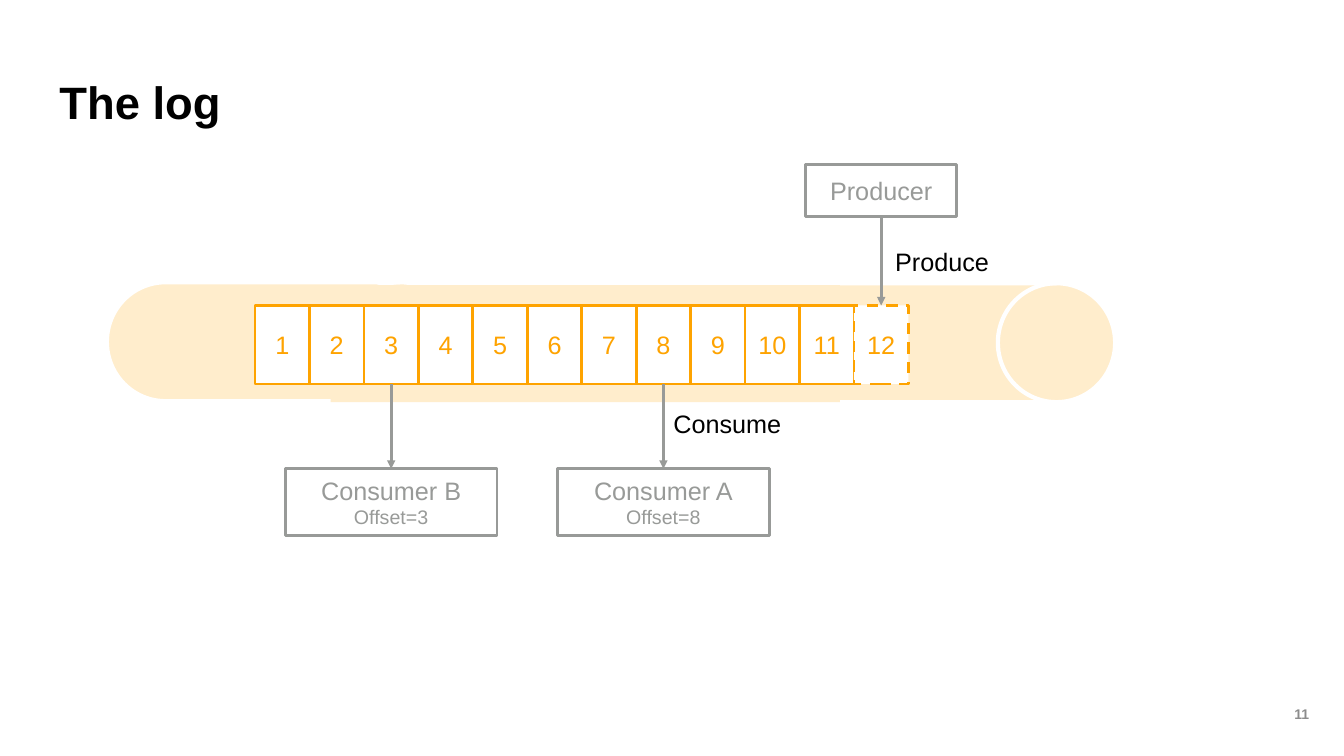
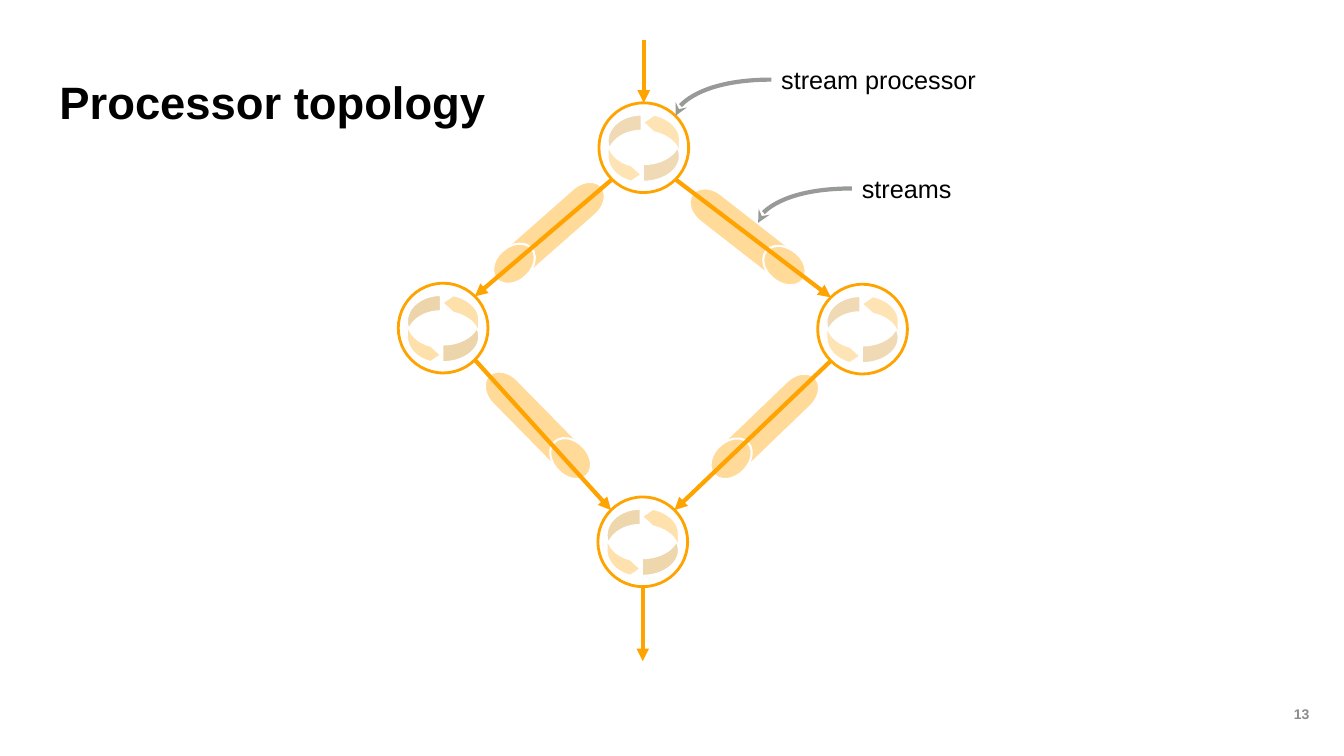
import math
from dataclasses import dataclass

import pptx
import pptx.dml.color
import pptx.enum.dml
import pptx.enum.shapes
import pptx.enum.text
import pptx.oxml.ns
import pptx.util
from lxml import etree

Inches, Pt = pptx.util.Inches, pptx.util.Pt
SHAPE = pptx.enum.shapes.MSO_SHAPE
CONNECTOR = pptx.enum.shapes.MSO_CONNECTOR
ALIGN = pptx.enum.text.PP_ALIGN
ANCHOR = pptx.enum.text.MSO_ANCHOR
qn = pptx.oxml.ns.qn


@dataclass(frozen=True)
class Theme:
    font: str = "Arial"
    black: str = "000000"
    white: str = "FFFFFF"
    orange: str = "FEA300"
    pale: str = "FFEDCC"
    peach: str = "FFDA99"
    gray: str = "989A98"
    number_gray: str = "8C8C8C"
    title: float = 32.4
    body: float = 18
    small: float = 14
    number: float = 10


T = Theme()

# Content of the log slide
LOG_TITLE, LOG_NUMBER = "The log", "11"
ENTRIES = [str(n) for n in range(1, 13)]
PRODUCER, PRODUCE, CONSUME = "Producer", "Produce", "Consume"
CONSUMERS = [("Consumer B", 3), ("Consumer A", 8)]  # name, offset

# Content of the topology slide
TOPOLOGY_TITLE, TOPOLOGY_NUMBER = "Processor topology", "13"
PROCESSORS = {  # left, top, opacity of the cycle arrows in percent
    "top": (5.94, 1.02, 29),
    "left": (3.95, 2.81, 33),
    "right": (8.11, 2.82, 29),
    "bottom": (5.93, 4.93, 32),
}
STREAMS = [  # source, target, left and top of the drum, its rotation
    ("top", "left", 4.75, 2.14, 138.6),
    ("left", "bottom", 4.64, 4.05, 45.5),
    ("right", "bottom", 6.89, 4.06, 136.1),
    ("top", "right", 6.72, 2.18, 38),
]
CALLOUTS = [  # text, label left and top, label width, arrow tip
    ("stream processor", 7.65, 0.59, 2.3, (6.7, 1.15)),
    ("streams", 8.45, 1.67, 1.3, (7.52, 2.21)),
]


# Drawing helpers
def rgb(color):
    return pptx.dml.color.RGBColor.from_string(color)


def write(tf, text, size=T.body, color=T.black, bold=False, align=ALIGN.LEFT,
          anchor=ANCHOR.TOP, spacing=None, sub=None):
    """Fill a text frame; sub is an optional smaller second line."""
    tf.word_wrap = True
    tf.vertical_anchor = anchor
    lines = [(text, size)] + ([(sub, T.small)] if sub else [])
    for i, (line, pt) in enumerate(lines):
        p = tf.add_paragraph() if i else tf.paragraphs[0]
        p.alignment = align
        if spacing:
            p.line_spacing = spacing
        r = p.add_run()
        r.text = line
        r.font.name, r.font.size, r.font.bold = T.font, Pt(pt), bold
        r.font.color.rgb = rgb(color)


def add_text(s, box, text, **fmt):
    sp = s.shapes.add_textbox(*map(Inches, box))
    write(sp.text_frame, text, **fmt)
    return sp


def add_shape(parent, kind, box, fill=None, line=None, width=2, rotation=0, alpha=None):
    sp = parent.shapes.add_shape(kind, *map(Inches, box))
    sp.shadow.inherit = False
    sp.rotation = rotation
    if fill:
        sp.fill.solid()
        sp.fill.fore_color.rgb = rgb(fill)
        if alpha:
            color = sp._element.spPr.find(qn("a:solidFill"))[0]
            etree.SubElement(color, qn("a:alpha")).set("val", str(alpha * 1000))
    else:
        sp.fill.background()
    if line:
        sp.line.color.rgb = rgb(line)
        sp.line.width = Pt(width)
    else:
        sp.line.fill.background()
    return sp


def add_box(s, box, text, color, sub=None):
    sp = add_shape(s, SHAPE.RECTANGLE, box, T.white, color)
    write(sp.text_frame, text, color=color, align=ALIGN.CENTER,
          anchor=ANCHOR.MIDDLE, sub=sub)
    return sp


def add_arrow(s, start, end, color, width, head="triangle", curved=False):
    kind = CONNECTOR.CURVE if curved else CONNECTOR.STRAIGHT
    c = s.shapes.add_connector(kind, *map(Inches, (*start, *end)))
    c.line.color.rgb = rgb(color)
    c.line.width = Pt(width)
    pr = c._element.spPr
    etree.SubElement(pr.find(qn("a:ln")), qn("a:tailEnd")).set("type", head)
    etree.SubElement(pr, qn("a:effectLst"))
    if curved:
        pr.find(qn("a:prstGeom")).set("prst", "curvedConnector2")


def add_slide(prs, title, number):
    s = prs.slides.add_slide(prs.slide_layouts[6])
    sp = add_text(s, (0.59, 0.7, 11.9, 0.63), title, size=T.title, bold=True,
                  anchor=ANCHOR.BOTTOM, spacing=0.9)
    sp.text_frame.margin_left = 0
    add_text(s, (12.49, 6.66, 0.84, 0.84), number, size=T.number, bold=True,
             color=T.number_gray, align=ALIGN.CENTER, anchor=ANCHOR.MIDDLE)
    return s


# The log
def build_log(prs):
    s = add_slide(prs, LOG_TITLE, LOG_NUMBER)
    drum = SHAPE.FLOWCHART_DIRECT_ACCESS_STORAGE
    for left, top in [(1.06, 2.8), (7.57, 2.81)]:
        add_shape(s, drum, (left, top, 3.49, 1.18), T.pale, T.white, 3)
    add_shape(s, SHAPE.RECTANGLE, (3.28, 2.83, 5.05, 1.16), T.pale)

    # Log entries; the last one is still being written
    left, top, w, h = 2.53, 3.03, 0.54, 0.78
    cells = [add_box(s, (left + i * w, top, w, h), entry, T.orange)
             for i, entry in enumerate(ENTRIES)]
    cells[-1].line.dash_style = pptx.enum.dml.MSO_LINE.DASH

    def center(entry):
        return left + (entry - 0.5) * w

    # Producer above, consumers below
    x = center(len(ENTRIES))
    add_box(s, (x - 0.75, 1.63, 1.5, 0.52), PRODUCER, T.gray)
    add_arrow(s, (x, 2.15), (x, top), T.gray, 2)
    add_text(s, (8.78, 2.39, 1.55, 0.4), PRODUCE)
    for name, offset in CONSUMERS:
        x = center(offset)
        add_box(s, (x - 1.05, 4.65, 2.1, 0.66), name, T.gray, sub=f"Offset={offset}")
        add_arrow(s, (x, top + h), (x, 4.65), T.gray, 2)
    add_text(s, (x, 4, 1.62, 0.4), CONSUME)


# Processor topology
DIAMETER = 0.89
RADIUS = DIAMETER / 2


def processor_center(name):
    left, top, _ = PROCESSORS[name]
    return left + RADIUS, top + RADIUS


def add_processor(s, left, top, alpha):
    group = s.shapes.add_group_shape()
    for dx, dy, w, rotation in [(0.09, 0.12, 0.33, 0), (0.44, 0.11, 0.36, 180)]:
        sp = add_shape(_Parent(group), SHAPE.CURVED_RIGHT_ARROW,
                       (left + dx, top + dy, w, 0.67), T.orange, T.white, 1,
                       rotation, alpha)
        for i, value in enumerate((0.47, 0.47, 0.294)):
            sp.adjustments[i] = value
    add_shape(_Parent(group), SHAPE.OVAL, (left, top, DIAMETER, DIAMETER), line=T.orange)


@dataclass
class _Parent:
    group: object

    @property
    def shapes(self):
        return self.group.shapes


def build_topology(prs):
    s = add_slide(prs, TOPOLOGY_TITLE, TOPOLOGY_NUMBER)
    for _, _, left, top, rotation in STREAMS:
        add_shape(s, SHAPE.FLOWCHART_DIRECT_ACCESS_STORAGE, (left, top, 1.39, 0.34),
                  T.peach, T.white, 1.5, rotation)
    for left, top, alpha in PROCESSORS.values():
        add_processor(s, left, top, alpha)

    # Streams leave and enter the circles at 45 degrees
    reach = RADIUS * math.sqrt(0.5)
    for source, target, *_ in STREAMS:
        (x1, y1), (x2, y2) = processor_center(source), processor_center(target)
        dx, dy = math.copysign(reach, x2 - x1), math.copysign(reach, y2 - y1)
        add_arrow(s, (x1 + dx, y1 + dy), (x2 - dx, y2 - dy), T.orange, 3)

    # Input and output
    x, y = processor_center("top")
    add_arrow(s, (x, 0.4), (x, y - RADIUS), T.orange, 3)
    x, y = processor_center("bottom")
    add_arrow(s, (x, y + RADIUS), (x, 6.56), T.orange, 3)

    for text, left, top, w, tip in CALLOUTS:
        add_text(s, (left, top, w, 0.4), text)
        add_arrow(s, (left, top + 0.2), tip, T.gray, 3, "stealth", curved=True)


def main():
    prs = pptx.Presentation()
    prs.slide_width, prs.slide_height = Inches(13.33), Inches(7.5)
    build_log(prs)
    build_topology(prs)
    prs.save("out.pptx")


if __name__ == "__main__":
    main()
